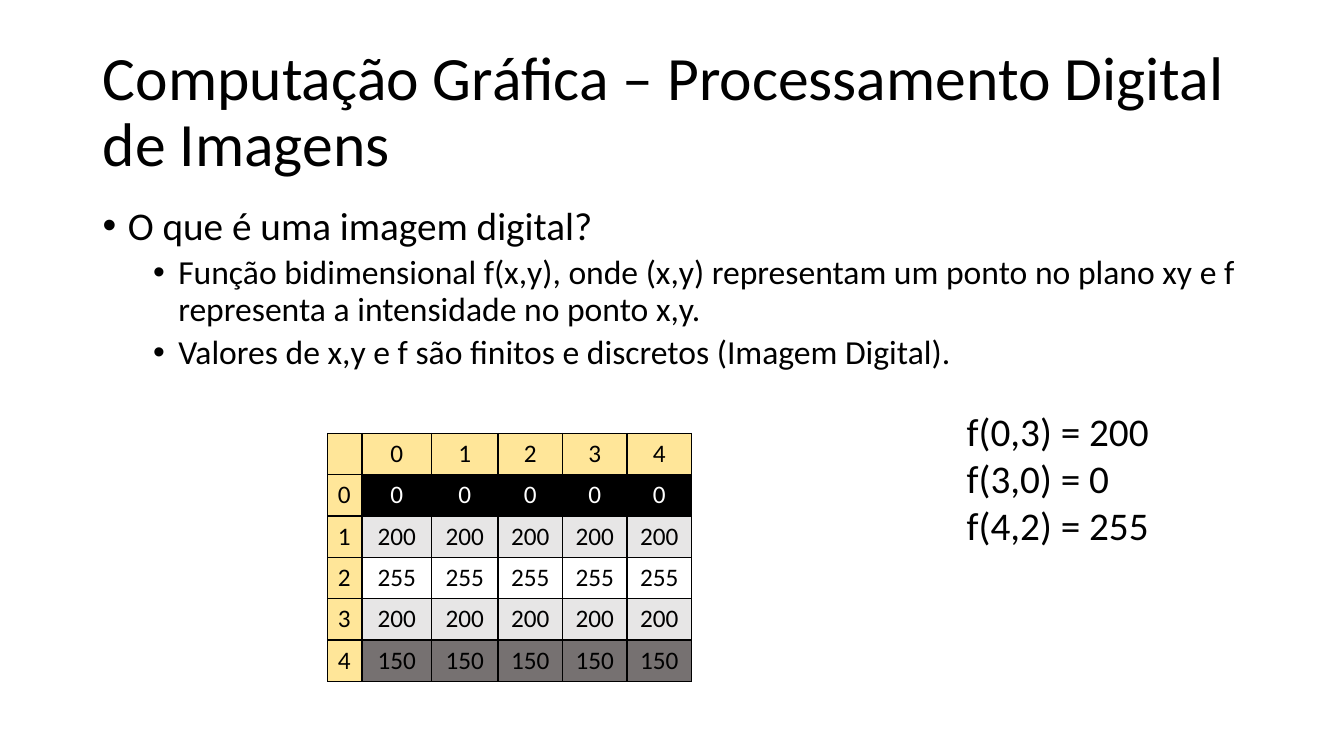
from dataclasses import dataclass

from lxml.etree import SubElement
from pptx import Presentation
from pptx.dml.color import RGBColor as Color
from pptx.enum.text import MSO_ANCHOR as Anchor, MSO_AUTO_SIZE as AutoSize, PP_ALIGN as Align
from pptx.oxml.ns import qn
from pptx.util import Inches, Pt


@dataclass(frozen=True)
class Theme:
    font: str = "Calibri"
    title_size: int = 44
    text_size: int = 28
    detail_size: int = 24
    cell_size: int = 18
    black: str = "000000"
    white: str = "FFFFFF"
    header: str = "FFE699"
    light_gray: str = "E7E6E6"
    dark_gray: str = "767171"


THEME = Theme()

TITLE = "Computação Gráfica – Processamento Digital de Imagens"
# Outline entries: level, text
OUTLINE = [
    (0, "O que é uma imagem digital?"),
    (1, "Função bidimensional f(x,y), onde (x,y) representam um ponto no plano xy "
        "e f representa a intensidade no ponto x,y."),
    (1, "Valores de x,y e f são finitos e discretos (Imagem Digital)."),
]
SAMPLES = "f(0,3) = 200\nf(3,0) = 0\nf(4,2) = 255"

# Each image row holds one intensity: value, fill, text colour
PIXEL_ROWS = [
    (0, THEME.black, THEME.white),
    (200, THEME.light_gray, THEME.black),
    (255, THEME.white, THEME.black),
    (200, THEME.light_gray, THEME.black),
    (150, THEME.dark_gray, THEME.black),
]
COLUMN_WIDTHS = [0.34, 0.69, 0.66, 0.64, 0.64, 0.64]
ROW_HEIGHT = 0.41


class SlideBuilder:
    def __init__(self, presentation, theme):
        self.theme = theme
        self.slide = presentation.slides.add_slide(presentation.slide_layouts[5])

    def apply(self, target, **values):
        for name, value in values.items():
            setattr(target, name, value)

    def fill_paragraph(self, paragraph, text, size, color=None, **values):
        paragraph.text = text
        self.apply(paragraph, **values)
        for run in paragraph.runs:
            self.apply(run.font, name=self.theme.font, size=Pt(size))
            run.font.color.rgb = Color.from_string(color or self.theme.black)

    def text_box(self, left, top, width, height):
        box = self.slide.shapes.add_textbox(
            Inches(left), Inches(top), Inches(width), Inches(height))
        box.text_frame.word_wrap = True
        return box.text_frame

    def title(self, text, left, top, width, height):
        shape = self.slide.shapes.title
        self.apply(shape, left=Inches(left), top=Inches(top),
                   width=Inches(width), height=Inches(height))
        self.apply(shape.text_frame, word_wrap=True, auto_size=AutoSize.NONE,
                   vertical_anchor=Anchor.MIDDLE)
        self.fill_paragraph(shape.text_frame.paragraphs[0], text, self.theme.title_size,
                            alignment=Align.LEFT, line_spacing=0.9)

    def outline(self, entries, left, top, width, height):
        frame = self.text_box(left, top, width, height)
        for index, (level, text) in enumerate(entries):
            paragraph = frame.add_paragraph() if index else frame.paragraphs[0]
            properties = paragraph._p.get_or_add_pPr()
            properties.set("marL", str(Inches(0.25 + 0.5 * level)))
            properties.set("indent", str(Inches(-0.25)))
            SubElement(properties, qn("a:buFont"), typeface="Arial")
            SubElement(properties, qn("a:buChar"), char="•")
            size = self.theme.detail_size if level else self.theme.text_size
            self.fill_paragraph(paragraph, text, size, level=level, line_spacing=0.9,
                                space_before=Pt(5 if index else 0))

    def note(self, text, left, top, width, height):
        frame = self.text_box(left, top, width, height)
        self.fill_paragraph(frame.paragraphs[0], text, self.theme.text_size)

    def cell(self, cell, text, fill, color, alignment):
        cell.fill.solid()
        cell.fill.fore_color.rgb = Color.from_string(fill)
        self.fill_paragraph(cell.text_frame.paragraphs[0], text, self.theme.cell_size,
                            color, alignment=alignment)
        # Borders go before the fill in the cell properties
        properties = cell._tc.get_or_add_tcPr()
        for position, side in enumerate(("lnL", "lnR", "lnT", "lnB")):
            line = SubElement(properties, qn(f"a:{side}"), w=str(Pt(1)))
            solid = SubElement(line, qn("a:solidFill"))
            SubElement(solid, qn("a:srgbClr"), val=self.theme.black)
            properties.insert(position, line)

    def pixel_table(self, pixel_rows, left, top):
        row_count, column_count = len(pixel_rows) + 1, len(COLUMN_WIDTHS)
        table = self.slide.shapes.add_table(
            row_count, column_count, Inches(left), Inches(top),
            Inches(sum(COLUMN_WIDTHS)), Inches(ROW_HEIGHT * row_count)).table
        self.apply(table, first_row=False, horz_banding=False)
        for column, width in zip(table.columns, COLUMN_WIDTHS):
            column.width = Inches(width)
        for row in table.rows:
            row.height = Inches(ROW_HEIGHT)

        # Column indices
        header, black = self.theme.header, self.theme.black
        for column in range(column_count):
            label = str(column - 1) if column else ""
            self.cell(table.cell(0, column), label, header, black, Align.CENTER)
        # Row index followed by the pixel values
        for row, (value, fill, color) in enumerate(pixel_rows, start=1):
            self.cell(table.cell(row, 0), str(row - 1), header, black, Align.LEFT)
            for column in range(1, column_count):
                self.cell(table.cell(row, column), str(value), fill, color, Align.CENTER)


def main():
    presentation = Presentation()
    presentation.slide_width = Inches(13.33)
    presentation.slide_height = Inches(7.5)

    builder = SlideBuilder(presentation, THEME)
    builder.title(TITLE, 0.92, 0.4, 11.5, 1.45)
    builder.outline(OUTLINE, 0.92, 2, 11.5, 4.76)
    builder.pixel_table(PIXEL_ROWS, 3.25, 4.3)
    builder.note(SAMPLES, 9.49, 3.99, 2.14, 1.51)

    presentation.save("out.pptx")


if __name__ == "__main__":
    main()
